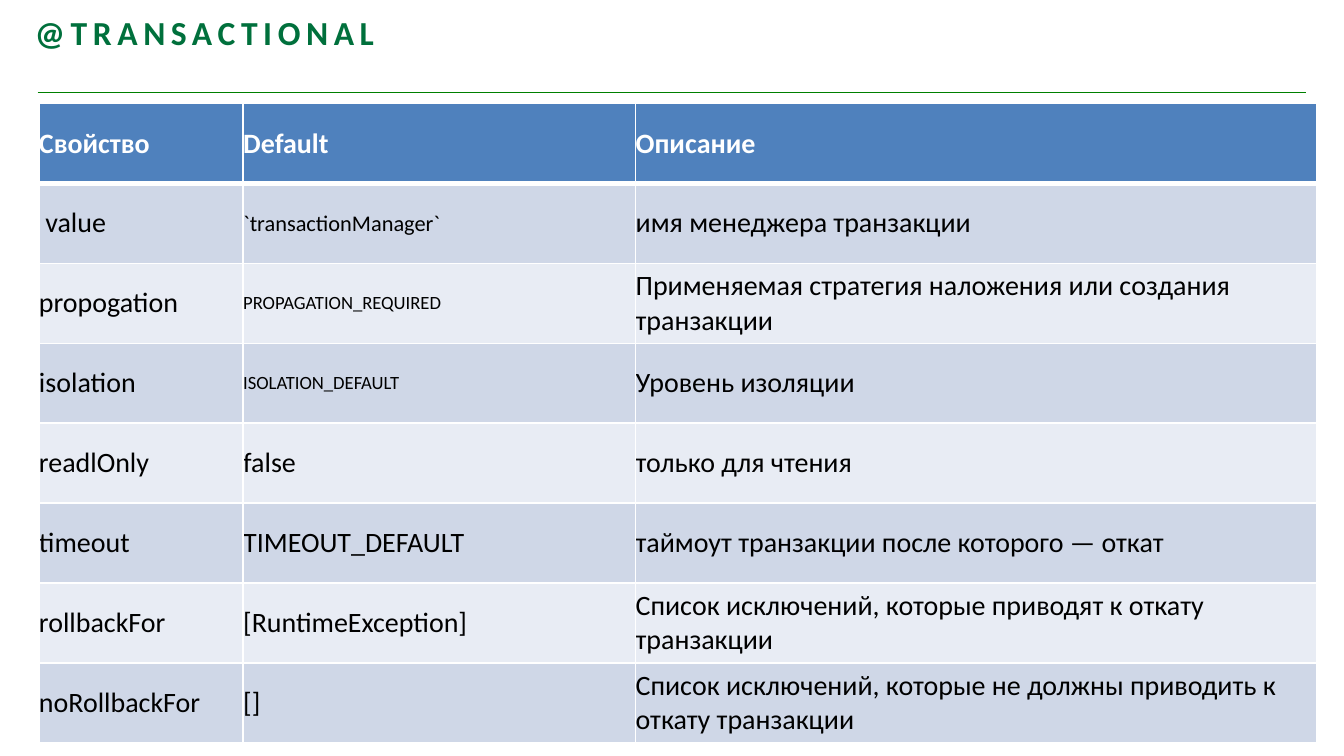
from lxml import etree
from pptx import Presentation
from pptx import util as u
from pptx.dml.color import RGBColor
from pptx.enum import shapes, text
from pptx.oxml import ns


def rgb(value):
    return RGBColor.from_string(value)


class Deck:
    font = "Calibri"
    green = "00703C"
    rule = "008000"
    header = "4F81BD"
    bands = ("CFD7E7", "E8ECF4")
    white = "FFFFFF"
    black = "000000"

    def __init__(self, width):
        self.prs = Presentation()
        self.prs.slide_width = u.Inches(width)
        self.prs.slide_height = u.Inches(width * 9 / 16)
        self.s = self.prs.slides.add_slide(self.prs.slide_layouts[6])

    def style(self, r, size, color, bold=False):
        r.font.name = self.font
        r.font.size = u.Pt(size)
        r.font.bold = bold
        r.font.color.rgb = rgb(color)

    def line(self, x1, y1, x2, y2):
        ends = [u.Inches(v) for v in (x1, y1, x2, y2)]
        c = self.s.shapes.add_connector(shapes.MSO_CONNECTOR.STRAIGHT, *ends)
        c.line.color.rgb = rgb(self.rule)
        c.line.width = u.Pt(0.75)
        etree.SubElement(c._element.spPr, ns.qn("a:effectLst"))

    def title(self, words, x, y, w, h):
        sp = self.s.shapes.add_textbox(*[u.Inches(v) for v in (x, y, w, h)])
        tf = sp.text_frame
        tf.word_wrap = True
        tf.margin_left = tf.margin_top = tf.margin_right = tf.margin_bottom = 0
        tf.text = words
        p = tf.paragraphs[0]
        p.space_before = u.Pt(4)
        r = p.runs[0]
        self.style(r, 18, self.green, True)
        r._r.get_or_add_rPr().set("spc", "300")

    def borders(self, cell, bottom):
        tc_pr = cell._tc.get_or_add_tcPr()
        widths = {"a:lnL": 1, "a:lnR": 1, "a:lnT": 1, "a:lnB": bottom}
        for i, (tag, width) in enumerate(widths.items()):
            ln = etree.Element(ns.qn(tag), w=str(u.Pt(width)))
            fill = etree.SubElement(ln, ns.qn("a:solidFill"))
            etree.SubElement(fill, ns.qn("a:srgbClr"), val=self.white)
            tc_pr.insert(i, ln)

    def cell(self, cell, words, size, row):
        head = row == 0
        cell.margin_left = cell.margin_top = 0
        cell.margin_right = cell.margin_bottom = 0
        cell.vertical_anchor = text.MSO_ANCHOR.MIDDLE
        cell.fill.solid()
        fill = self.header if head else self.bands[(row - 1) % 2]
        cell.fill.fore_color.rgb = rgb(fill)
        cell.text_frame.text = words
        r = cell.text_frame.paragraphs[0].runs[0]
        self.style(r, size, self.white if head else self.black, head)
        self.borders(cell, 3 if head else 1)

    def table(self, rows, widths, x, y, h, small):
        box = [u.Inches(v) for v in (x, y, sum(widths), h)]
        tbl = self.s.shapes.add_table(len(rows), len(widths), *box).table
        for column, width in zip(tbl.columns, widths):
            column.width = u.Inches(width)
        for i, row in enumerate(rows):
            for j, words in enumerate(row):
                self.cell(tbl.cell(i, j), words, small.get(words, 15), i)


PROPERTIES = [
    ("Свойство", "Default", "Описание"),
    (" value", "`transactionManager`", "имя менеджера транзакции"),
    ("propogation", "PROPAGATION_REQUIRED",
     "Применяемая стратегия наложения или создания транзакции"),
    ("isolation", "ISOLATION_DEFAULT", "Уровень изоляции"),
    ("readlOnly", "false", "только для чтения"),
    ("timeout", "TIMEOUT_DEFAULT", "таймоут транзакции после которого — откат"),
    ("rollbackFor", "[RuntimeException]",
     "Список исключений, которые приводят к откату транзакции"),
    ("noRollbackFor", "[]",
     "Список исключений, которые не должны приводить к откату транзакции"),
]
SMALL = {
    "`transactionManager`": 12,
    "PROPAGATION_REQUIRED": 10,
    "ISOLATION_DEFAULT": 10,
}


def main():
    deck = Deck(10)
    deck.line(0.28, 0.69, 9.72, 0.69)
    deck.title("@TRANSACTIONAL", 0.26, 0.09, 7.17, 0.6)
    deck.table(PROPERTIES, (1.52, 2.92, 5.07), 0.29, 0.77, 4.76, SMALL)
    deck.prs.save("out.pptx")


if __name__ == "__main__":
    main()
